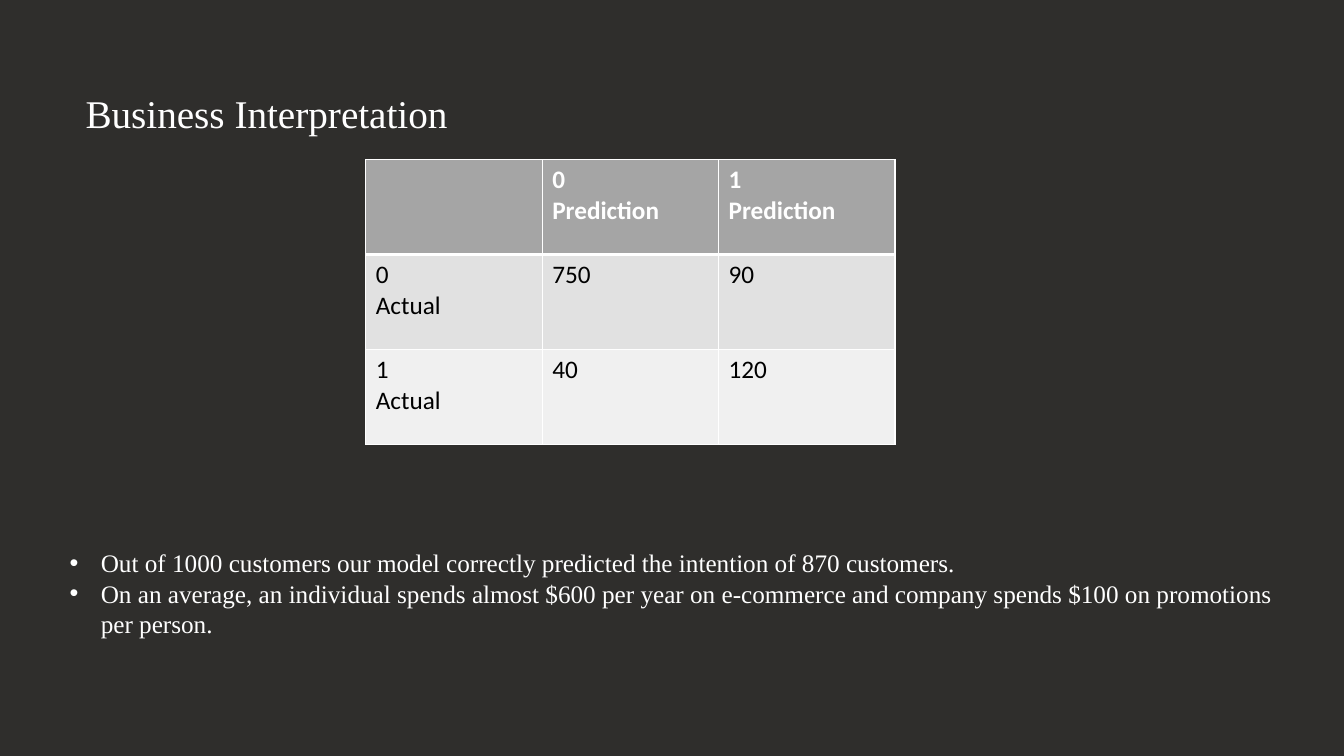
from dataclasses import dataclass

from lxml.etree import SubElement
from pptx import Presentation
from pptx.dml.color import RGBColor
from pptx.enum.text import MSO_AUTO_SIZE
from pptx.oxml.ns import qn
from pptx.util import Inches, Pt


@dataclass(frozen=True)
class Theme:
    """Colours, fonts and type sizes of the slide."""
    background: str = "2F2E2C"
    light: str = "FFFFFF"
    dark: str = "000000"
    row_fills: tuple = ("A5A5A5", "E1E1E1", "F0F0F0")
    serif: str = "Times New Roman"
    sans: str = "Calibri"
    title_size: int = 28
    body_size: int = 18
    rule: int = 1
    header_rule: int = 3


class Deck:
    """Holds the style and the current slide, laid out on a 160 by 90 grid."""
    COLUMNS, ROWS = 160, 90

    def __init__(self, theme):
        """Open a widescreen presentation with one blank slide."""
        self.theme = theme
        self.presentation = Presentation()
        self.presentation.slide_width = Inches(13.33)
        self.presentation.slide_height = Inches(7.5)
        self.slide = self.presentation.slides.add_slide(self.presentation.slide_layouts[6])
        self.paint(self.slide.background.fill, theme.background)

    def place(self, left, top, width, height):
        """Turn grid columns and rows into slide lengths."""
        column = self.presentation.slide_width / self.COLUMNS
        row = self.presentation.slide_height / self.ROWS
        return [int(n * unit) for n, unit in zip((left, top, width, height), (column, row) * 2)]

    def paint(self, fill, colour):
        """Give a fill one solid colour."""
        fill.solid()
        fill.fore_color.rgb = RGBColor.from_string(colour)

    def style(self, frame, colour, **font_format):
        """Apply one font format to every paragraph of a text frame."""
        for paragraph in frame.paragraphs:
            for run in paragraph.runs:
                for attribute, value in font_format.items():
                    setattr(run.font, attribute, value)
                run.font.color.rgb = RGBColor.from_string(colour)

    def text(self, area, wording, size, wrap=True):
        """Add a light serif text box and return its frame."""
        frame = self.slide.shapes.add_textbox(*self.place(*area)).text_frame
        frame.text = wording
        frame.word_wrap = wrap
        frame.auto_size = MSO_AUTO_SIZE.SHAPE_TO_FIT_TEXT
        self.style(frame, self.theme.light, name=self.theme.serif, size=Pt(size))
        return frame

    def bullets(self, area, points):
        """Add a bulleted list with a hanging indent."""
        frame = self.text(area, "\n".join(points), self.theme.body_size)
        indent = Inches(0.31)
        for paragraph in frame.paragraphs:
            properties = paragraph._p.get_or_add_pPr()
            properties.set("marL", str(indent))
            properties.set("indent", str(-indent))
            SubElement(properties, qn("a:buFont"), typeface="Arial")
            SubElement(properties, qn("a:buChar"), char="•")

    def borders(self, cell, bottom):
        """Rule all four sides of a cell."""
        properties = cell._tc.get_or_add_tcPr()
        widths = dict.fromkeys(("lnL", "lnR", "lnT"), self.theme.rule) | {"lnB": bottom}
        for side, width in widths.items():
            line = SubElement(properties, qn(f"a:{side}"), w=str(Pt(width)))
            solid = SubElement(line, qn("a:solidFill"))
            SubElement(solid, qn("a:srgbClr"), val=self.theme.light)

    def matrix(self, area, rows):
        """Add a table with a bold header row and evenly sized cells."""
        theme = self.theme
        table = self.slide.shapes.add_table(len(rows), len(rows[0]), *self.place(*area)).table
        for r, row in enumerate(rows):
            header = r == 0
            for c, wording in enumerate(row):
                cell = table.cell(r, c)
                cell.text = wording
                self.borders(cell, theme.header_rule if header else theme.rule)
                self.paint(cell.fill, theme.row_fills[r])
                self.style(cell.text_frame, theme.light if header else theme.dark,
                           name=theme.sans, size=Pt(theme.body_size), bold=header)


theme = Theme()
deck = Deck(theme)
confusion_matrix = [
    ("", "0\nPrediction", "1\nPrediction"),
    ("0 \nActual", "750", "90"),
    ("1\nActual", "40", "120"),
]
findings = [
    "Out of 1000 customers our model correctly predicted the intention of 870 customers.",
    "On an average, an individual spends almost $600 per year on e-commerce "
    "and company spends $100 on promotions per person.",
]
deck.matrix((43.55, 19, 63, 33.9), confusion_matrix)
deck.text((9, 10, 46, 6.8), "Business Interpretation", theme.title_size, wrap=False)
deck.bullets((7.1, 64.6, 148, 12), findings)
deck.presentation.save("out.pptx")
